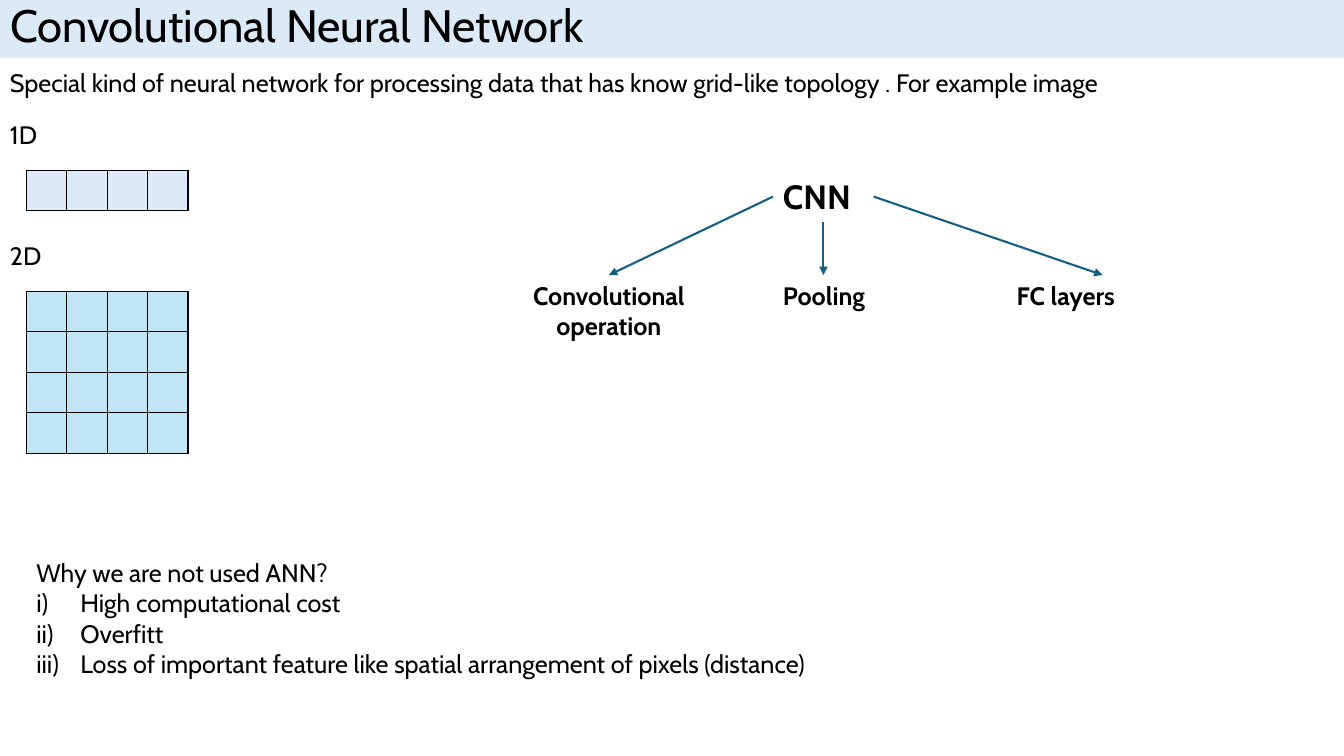
from dataclasses import dataclass

from lxml.etree import SubElement
from pptx import Presentation
from pptx.dml.color import RGBColor
from pptx.enum.shapes import MSO_CONNECTOR
from pptx.enum.text import MSO_ANCHOR, MSO_AUTO_SIZE, PP_ALIGN
from pptx.oxml.ns import qn
from pptx.util import Cm, Pt

FONT = "Cabin"
BLACK, BLUE = "000000", "156082"
PALE, SKY = "DCEAF7", "C1E5F5"
CELL = 1.02
LABEL_Y = 6.93


@dataclass
class Label:
    text: str
    x: float
    y: float
    w: float
    h: float
    size: float = 18
    bold: bool = False
    align: PP_ALIGN = PP_ALIGN.LEFT


@dataclass
class Grid:
    y: float
    rows: int
    cols: int
    color: str


def rgb(color: str) -> RGBColor:
    return RGBColor.from_string(color)


def place(shape, x: float, y: float, w: float, h: float) -> None:
    shape.left, shape.top, shape.width, shape.height = Cm(x), Cm(y), Cm(w), Cm(h)


def write(tf, text: str, size: float, bold: bool = False,
          align: PP_ALIGN = PP_ALIGN.LEFT) -> None:
    tf.word_wrap = True
    tf.text = text
    for p in tf.paragraphs:
        p.alignment = align
        p.space_before = Pt(0)
        p.font.name, p.font.size, p.font.bold = FONT, Pt(size), bold
        p.font.color.rgb = rgb(BLACK)


def add_label(s, label: Label):
    box = s.shapes.add_textbox(Cm(label.x), Cm(label.y), Cm(label.w), Cm(label.h))
    write(box.text_frame, label.text, label.size, label.bold, label.align)
    box.text_frame.auto_size = MSO_AUTO_SIZE.SHAPE_TO_FIT_TEXT
    return box


def style_cell(cell, color: str) -> None:
    cell.fill.solid()
    cell.fill.fore_color.rgb = rgb(color)
    cell.margin_top = cell.margin_bottom = 0
    tc_pr = cell._tc.get_or_add_tcPr()
    for i, side in enumerate(("lnL", "lnR", "lnT", "lnB")):
        ln = SubElement(tc_pr, qn(f"a:{side}"), w=str(Pt(1)))
        SubElement(SubElement(ln, qn("a:solidFill")), qn("a:srgbClr"), val=BLACK)
        tc_pr.insert(i, ln)  # borders come before the fill


def add_grid(s, grid: Grid) -> None:
    table = s.shapes.add_table(grid.rows, grid.cols, Cm(0.66), Cm(grid.y),
                               Cm(CELL * grid.cols), Cm(CELL * grid.rows)).table
    table.first_row = table.horz_banding = False
    for cell in table.iter_cells():
        style_cell(cell, grid.color)


def add_arrow(s, source, side: int, x: float, y: float, target=None) -> None:
    c = s.shapes.add_connector(MSO_CONNECTOR.STRAIGHT, 0, 0, Cm(x), Cm(y))
    c.begin_connect(source, side)
    if target is not None:
        c.end_connect(target, 0)
    c.line.color.rgb = rgb(BLUE)
    c.line.width = Pt(1.5)
    SubElement(c.line._get_or_add_ln(), qn("a:tailEnd"), type="triangle")
    SubElement(c._element.spPr, qn("a:effectLst"))


def set_bullet(p, indent: float, kind: str, **attrs: str) -> None:
    p_pr = p._p.get_or_add_pPr()
    p_pr.set("marL", str(Cm(indent)))
    p_pr.set("indent", str(-Cm(indent)))
    bullet = SubElement(p_pr, qn(kind), **attrs)
    p_pr.find(qn("a:defRPr")).addprevious(bullet)


def main() -> None:
    prs = Presentation()
    prs.slide_width, prs.slide_height = Cm(33.87), Cm(19.05)
    s = prs.slides.add_slide(prs.slide_layouts[1])

    # Title band
    title = s.shapes.title
    place(title, 0, 0, 33.87, 1.45)
    title.fill.solid()
    title.fill.fore_color.rgb = rgb(PALE)
    write(title.text_frame, "Convolutional Neural Network", 32.4)
    title.text_frame.auto_size = MSO_AUTO_SIZE.NONE
    title.text_frame.vertical_anchor = MSO_ANCHOR.BOTTOM
    title.text_frame.paragraphs[0].line_spacing = 0.9

    # Introduction and grid examples
    for label in (
        Label("Special kind of neural network for processing data that has know "
              "grid-like topology . For example image", 0, 1.57, 32.54, CELL),
        Label("1D", 0, 2.87, 4.67, CELL),
        Label("2D", 0, 5.92, 4.67, CELL),
    ):
        add_label(s, label)
    for grid in (Grid(4.29, 1, 4, PALE), Grid(7.34, 4, 4, SKY)):
        add_grid(s, grid)

    # Parts of a CNN
    cnn = add_label(s, Label("CNN", 19.48, 4.32, 2.54, 1.27, 24, True))
    conv = add_label(s, Label("Convolutional\noperation", 12.93, LABEL_Y, 4.83, 1.8,
                              bold=True, align=PP_ALIGN.CENTER))
    add_label(s, Label("Pooling", 19.48, LABEL_Y, 3.56, CELL, bold=True))
    fc = add_label(s, Label("FC layers", 25.37, LABEL_Y, 4.83, CELL, bold=True))
    add_arrow(s, cnn, 1, 15.35, LABEL_Y, conv)
    add_arrow(s, cnn, 2, 20.75, LABEL_Y)
    add_arrow(s, cnn, 3, 27.78, LABEL_Y, fc)

    # Drawbacks of an ANN
    body = s.placeholders[1]
    place(body, 0.66, 13.92, 20.75, 3.33)
    write(body.text_frame, "\n".join((
        "Why we are not used ANN?",
        "High computational cost",
        "Overfitt",
        "Loss of important feature like spatial arrangement of pixels (distance)",
    )), 18)
    body.text_frame.auto_size = MSO_AUTO_SIZE.SHAPE_TO_FIT_TEXT
    question, *reasons = body.text_frame.paragraphs
    set_bullet(question, 0, "a:buNone")
    for p in reasons:
        set_bullet(p, 1.11, "a:buAutoNum", type="romanLcParenR")

    prs.save("out.pptx")


if __name__ == "__main__":
    main()
